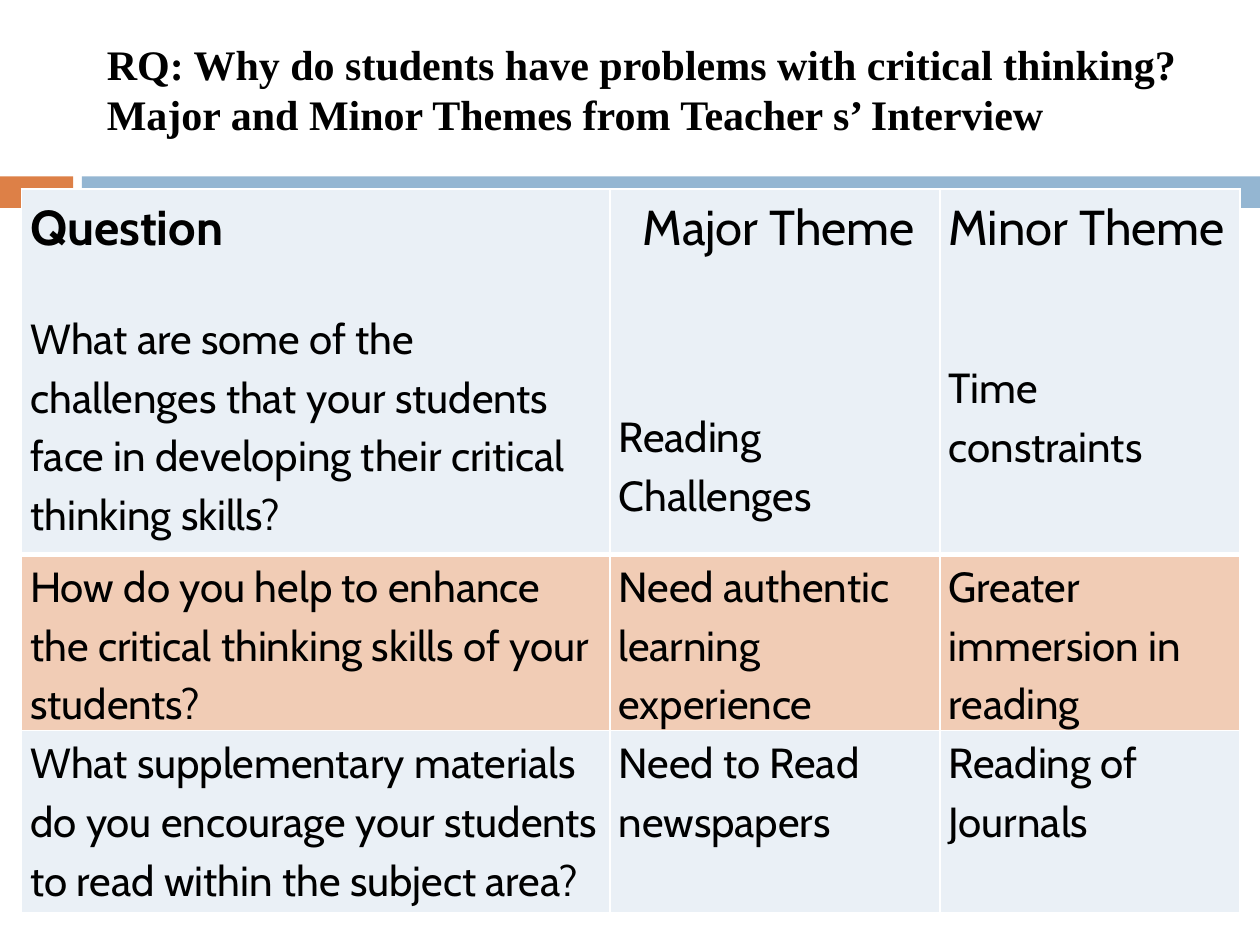
import dataclasses

import pptx
import pptx.dml.color
import pptx.enum.shapes
import pptx.enum.text
import pptx.oxml.ns
import pptx.util
from lxml import etree
from pptx.util import Inches


@dataclasses.dataclass(frozen=True)
class Theme:
    ink: str = "000000"
    line: str = "FFFFFF"
    orange: str = "DD8047"
    blue: str = "94B6D2"
    pale: str = "EAF0F6"
    peach: str = "F1CCB5"
    serif: str = "Times New Roman"
    sans: str = "Cabin"
    head: int = 28
    body: int = 24
    gap: int = 28  # points taken by one empty line in the top row


THEME = Theme()

HEADS = ["Question", "Major Theme", "Minor Theme"]
ROWS = [
    ["What are some of the challenges that your students face in "
     "developing their critical thinking skills?",
     "Reading Challenges", "Time constraints"],
    ["How do you help to enhance the critical thinking skills of your students?",
     "Need authentic learning experience", "Greater immersion in reading"],
    ["What supplementary materials do you encourage your students to read "
     "within the subject area?",
     "Need to Read newspapers", "Reading of Journals"],
]


def color(code):
    return pptx.dml.color.RGBColor.from_string(code)


def write(frame, text, first=False, size=THEME.body, font=THEME.sans,
          bold=False, space=1.0, before=0, indent=0):
    """Put one paragraph of text into a frame."""
    para = frame.paragraphs[0] if first else frame.add_paragraph()
    para.line_spacing = space
    para.space_before = pptx.util.Pt(before)
    if indent:
        para._p.get_or_add_pPr().set("marL", str(Inches(indent)))
    run = para.add_run()
    run.text = text
    run.font.size = pptx.util.Pt(size)
    run.font.name = font
    run.font.bold = bold
    run.font.color.rgb = color(THEME.ink)


def edge(cell, **widths):
    """Draw the cell's borders; widths are points keyed by side."""
    props = cell._tc.get_or_add_tcPr()
    for spot, side in enumerate("LRTB"):
        line = etree.Element(pptx.oxml.ns.qn("a:ln" + side),
                             w=str(pptx.util.Pt(widths.get(side, 1))))
        fill = etree.SubElement(line, pptx.oxml.ns.qn("a:solidFill"))
        etree.SubElement(fill, pptx.oxml.ns.qn("a:srgbClr"), val=THEME.line)
        props.insert(spot, line)


def bands(slide, left, top, width, height):
    """Short orange bar and long blue bar, with a gap between."""
    short, start = 0.58, 0.65
    for x, wide, fill in [(left, short, THEME.orange),
                          (left + start, width - start, THEME.blue)]:
        bar = slide.shapes.add_shape(
            pptx.enum.shapes.MSO_SHAPE.RECTANGLE,
            Inches(x), Inches(top), Inches(wide), Inches(height))
        bar.shadow.inherit = False
        bar.fill.solid()
        bar.fill.fore_color.rgb = color(fill)
        bar.line.fill.background()


def title(slide, left, top, width, height):
    box = slide.shapes.add_textbox(
        Inches(left), Inches(top), Inches(width), Inches(height))
    frame = box.text_frame
    frame.word_wrap = False
    frame.auto_size = pptx.enum.text.MSO_AUTO_SIZE.SHAPE_TO_FIT_TEXT
    frame.vertical_anchor = pptx.enum.text.MSO_ANCHOR.MIDDLE
    style = dict(font=THEME.serif, bold=True)
    write(frame, "RQ: Why do students have problems with critical thinking?",
          first=True, **style)
    write(frame, "Major and Minor Themes from Teacher s’ Interview", **style)


def themes(slide, left, top, width, height):
    """Table whose top row holds both the headings and the first answers."""
    table = slide.shapes.add_table(
        len(ROWS), len(HEADS), Inches(left), Inches(top),
        Inches(width), Inches(height)).table
    cols = [4.67, 2.62]
    for col, wide in zip(table.columns, cols + [width - sum(cols)]):
        col.width = Inches(wide)
    tall = [2.9, 1.39]
    for row, high in zip(table.rows, tall + [height - sum(tall)]):
        row.height = Inches(high)

    indents = [0, 0.19, 0]
    drops = [1, 3, 2]  # empty lines between heading and answer
    for r, texts in enumerate(ROWS):
        for c, text in enumerate(texts):
            cell = table.cell(r, c)
            cell.margin_left = cell.margin_right = Inches(0.07)
            cell.margin_top = cell.margin_bottom = 0
            cell.fill.solid()
            cell.fill.fore_color.rgb = color(THEME.peach if r % 2 else THEME.pale)
            edge(cell, B=1 if r else 3)
            frame = cell.text_frame
            if r == 0:
                write(frame, HEADS[c], first=True, size=THEME.head,
                      bold=c == 0, space=1.15, indent=indents[c])
            write(frame, text, first=r > 0, space=1.15,
                  before=0 if r else drops[c] * THEME.gap)


def main():
    deck = pptx.Presentation()
    deck.slide_width, deck.slide_height = Inches(10), Inches(7.5)
    slide = deck.slides.add_slide(deck.slide_layouts[6])
    bands(slide, 0, 1.4, 10, 0.25)
    themes(slide, 0.17, 1.5, 9.67, 5.74)
    title(slide, 0.75, 0.25, 8.77, 0.91)
    deck.save("out.pptx")


if __name__ == "__main__":
    main()
